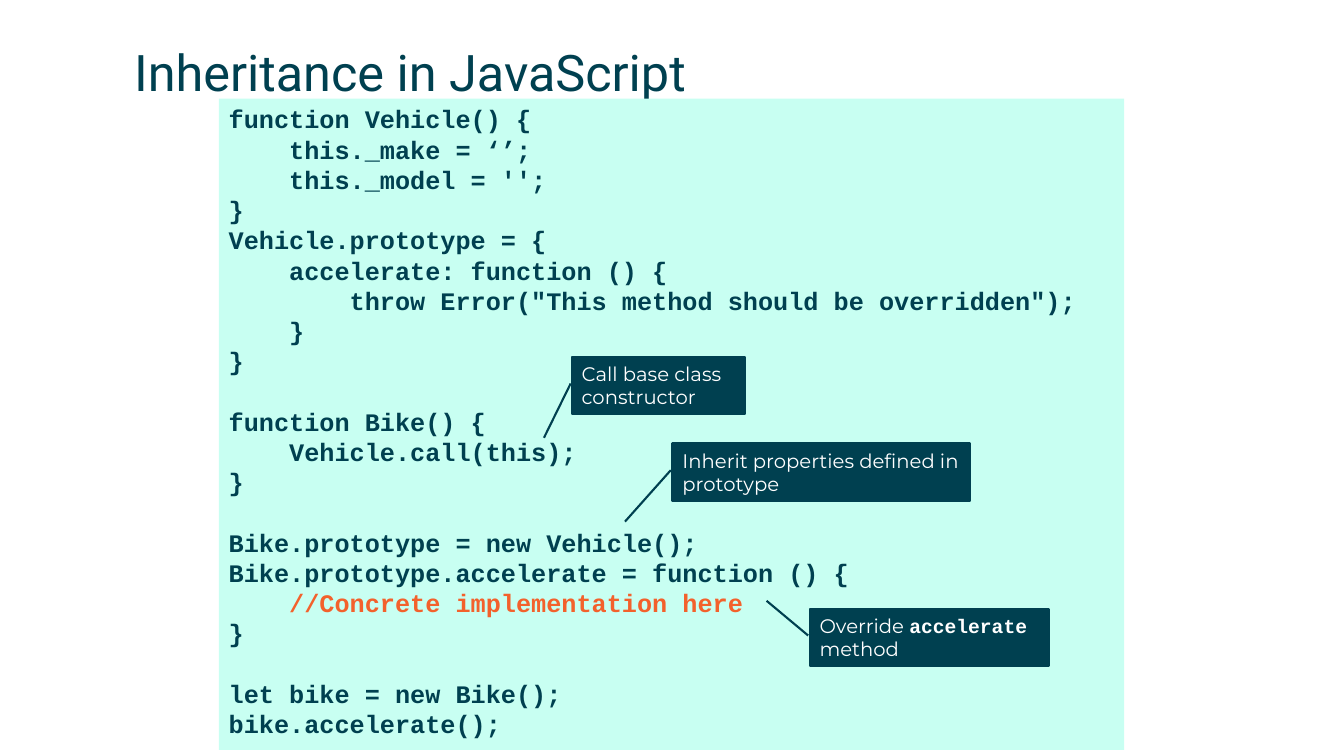
"""Build a slide on inheritance in JavaScript with annotated code."""
from dataclasses import dataclass

import pptx
import pptx.dml.color
import pptx.enum.shapes
import pptx.enum.text
import pptx.util
from pptx.shapes.autoshape import Shape
from pptx.slide import Slide
from pptx.util import Inches

NAVY = "004050"
MINT = "C8FFF2"
ORANGE = "F3612C"
WHITE = "FFFFFF"
CODE_FONT = "Courier New"
CODE_PITCH = pptx.util.Pt(21.6)

CODE = """function Vehicle() {
    this._make = ‘’;
    this._model = '';
}
Vehicle.prototype = {
    accelerate: function () {
        throw Error("This method should be overridden");
    }
}

function Bike() {
    Vehicle.call(this);
}

Bike.prototype = new Vehicle();
Bike.prototype.accelerate = function () {
    //Concrete implementation here
}

let bike = new Bike();
bike.accelerate();"""


@dataclass
class Callout:
    left: float
    top: float
    width: float
    tip_y: float
    tip_x: float
    words: list[str]
    code_word: str = ""


CALLOUTS = [
    Callout(5.67, 3.54, 1.72, 1.41, -0.16, ["Call base class constructor"]),
    Callout(6.67, 4.4, 2.95, 1.36, -0.16, ["Inherit properties defined in prototype"]),
    Callout(8.03, 6.04, 2.37, -0.14, -0.18, ["Override ", "accelerate", " method"], "accelerate"),
]


def color(value: str) -> pptx.dml.color.RGBColor:
    """Return the colour for a hex string."""
    return pptx.dml.color.RGBColor.from_string(value)


def style(font, name: str, size: float, value: str, bold: bool = False) -> None:
    """Set the face, size, colour and weight of a font."""
    font.name = name
    font.size = pptx.util.Pt(size)
    font.color.rgb = color(value)
    font.bold = bold


def add_box(slide: Slide, kind: int, left: float, top: float, width: float, height: float, fill: str) -> Shape:
    """Add a filled shape without outline whose text starts top left."""
    shape = slide.shapes.add_shape(kind, Inches(left), Inches(top), Inches(width), Inches(height))
    shape.shadow.inherit = False
    shape.fill.solid()
    shape.fill.fore_color.rgb = color(fill)
    shape.line.fill.background()
    shape.text_frame.word_wrap = True
    shape.text_frame.vertical_anchor = pptx.enum.text.MSO_ANCHOR.TOP
    return shape


def add_title(slide: Slide, title: str) -> None:
    """Add the slide title."""
    box = slide.shapes.add_textbox(Inches(1.33), Inches(0.41), Inches(11.59), Inches(0.57))
    frame = box.text_frame
    frame.word_wrap = True
    frame.margin_left = frame.margin_right = frame.margin_top = frame.margin_bottom = 0
    frame.text = title
    style(frame.paragraphs[0].runs[0].font, "Roboto", 36, NAVY)


def add_code(slide: Slide, code: str) -> None:
    """Add the code panel, with a one-line gap between code blocks."""
    panel = add_box(slide, pptx.enum.shapes.MSO_SHAPE.RECTANGLE, 2.17, 0.98, 8.98, 6.46, MINT)
    frame = panel.text_frame
    blocks = code.split("\n\n")
    frame.text = "\n".join(blocks)
    block_starts = {block.split("\n")[0] for block in blocks[1:]}
    for paragraph in frame.paragraphs:
        paragraph.alignment = pptx.enum.text.PP_ALIGN.LEFT
        paragraph.line_spacing = CODE_PITCH
        if paragraph.text in block_starts:
            paragraph.space_before = CODE_PITCH
        is_comment = paragraph.text.strip().startswith("//")
        style(paragraph.runs[0].font, CODE_FONT, 18, ORANGE if is_comment else NAVY, True)


def add_callout(slide: Slide, callout: Callout) -> None:
    """Add a note with a line leading to the code it explains."""
    kind = pptx.enum.shapes.MSO_SHAPE.LINE_CALLOUT_1
    shape = add_box(slide, kind, callout.left, callout.top, callout.width, 0.57, NAVY)
    shape.line.color.rgb = color(NAVY)
    shape.line.width = pptx.util.Pt(1.5)
    for index, value in enumerate((0.465, -0.006, callout.tip_y, callout.tip_x)):
        shape.adjustments[index] = value
    paragraph = shape.text_frame.paragraphs[0]
    paragraph.alignment = pptx.enum.text.PP_ALIGN.LEFT
    for words in callout.words:
        run = paragraph.add_run()
        run.text = words
        is_code = words == callout.code_word
        style(run.font, CODE_FONT if is_code else "Montserrat", 14, WHITE, is_code)


def main() -> None:
    """Build and save the presentation."""
    presentation = pptx.Presentation()
    presentation.slide_width = Inches(13.33)
    presentation.slide_height = Inches(7.5)
    slide = presentation.slides.add_slide(presentation.slide_layouts[6])
    add_title(slide, "Inheritance in JavaScript")
    add_code(slide, CODE)
    for callout in CALLOUTS:
        add_callout(slide, callout)
    presentation.save("out.pptx")


if __name__ == "__main__":
    main()
